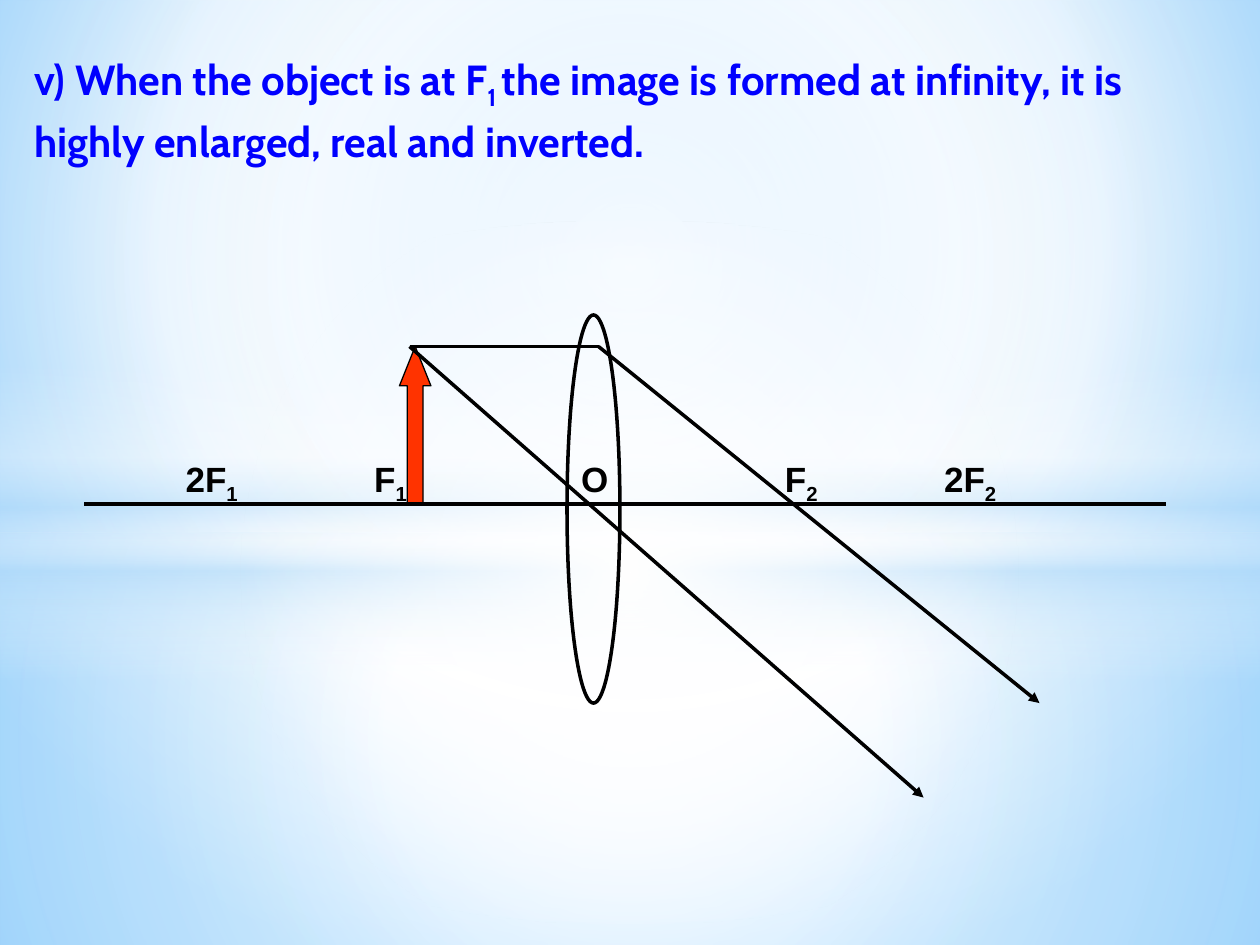
from lxml.etree import SubElement
from pptx import Presentation
from pptx.dml.color import RGBColor
from pptx.enum.shapes import MSO_CONNECTOR, MSO_SHAPE
from pptx.enum.text import MSO_ANCHOR, MSO_AUTO_SIZE, PP_ALIGN
from pptx.oxml.ns import qn
from pptx.util import Inches, Pt

COLORS = {
    "text": "0000FF", "ink": "000000", "object": "FF3300", "white": "FFFFFF",
    "sky": "9ED5FF", "deep sky": "5BB9FF", "haze": "B4DCFA",
}


def set_gradient(parent, stops, focus=None):
    """Replace the solid fill in parent; stops are (position, colour, opacity) in percent.

    focus gives the left, top, right, bottom of a circular gradient;
    without it the gradient runs from top to bottom.
    """
    solid = parent.find(qn("a:solidFill"))
    gradient = SubElement(parent, qn("a:gradFill"), rotWithShape="1")
    parent.replace(solid, gradient)
    stop_list = SubElement(gradient, qn("a:gsLst"))
    for position, color, opacity in stops:
        stop = SubElement(stop_list, qn("a:gs"), pos=str(position * 1000))
        tint = SubElement(stop, qn("a:srgbClr"), val=COLORS[color])
        if opacity < 100:
            SubElement(tint, qn("a:alpha"), val=str(opacity * 1000))
    if focus:
        circle = SubElement(gradient, qn("a:path"), path="circle")
        sides = {side: str(value * 1000) for side, value in zip("ltrb", focus)}
        SubElement(circle, qn("a:fillToRect"), **sides)
    else:
        SubElement(gradient, qn("a:lin"), ang="5400000", scaled="0")


def add_text(para, text, size=20, font="Arial", color="ink", subscript=False):
    span = para.add_run()
    span.text = text
    span.font.size = Pt(size)
    span.font.name = font
    span.font.bold = True
    span.font.color.rgb = RGBColor.from_string(COLORS[color])
    if subscript:
        span._r.get_or_add_rPr().set("baseline", "-25000")


deck = Presentation()
deck.slide_width, deck.slide_height = Inches(10), Inches(7.5)
page = deck.slides.add_slide(deck.slide_layouts[0])
shapes = page.shapes
shapes.element.remove(shapes.title.element)

# Background with its layers of light
page.background.fill.solid()
set_gradient(page.element.cSld.bg.bgPr,
             [(0, "sky", 100), (60, "white", 100), (100, "deep sky", 100)],
             focus=(20, 10, 20, 60))
center = (50, 50, 50, 50)
layers = [
    (MSO_SHAPE.RECTANGLE, 4.23, 3.27, center,
     [(0, "white", 91), (37, "white", 76), (100, "haze", 79)]),
    (MSO_SHAPE.RECTANGLE, 0, 4.23, center,
     [(0, "white", 89), (48, "white", 62), (100, "haze", 79)]),
    (MSO_SHAPE.RECTANGLE, 2.9, 2.5, None,
     [(0, "white", 0), (29, "white", 30), (45, "haze", 40),
      (55, "white", 26), (65, "haze", 60), (100, "white", 0)]),
    (MSO_SHAPE.OVAL, 1.75, 5.58, center, [(0, "white", 100), (54, "white", 0)]),
]
for kind, top, height, focus, stops in layers:
    layer = shapes.add_shape(kind, 0, Inches(top), deck.slide_width, Inches(height))
    layer.shadow.inherit = False
    layer.line.fill.background()
    layer.fill.solid()
    set_gradient(layer.element.spPr, stops, focus)

# Statement, in front of the layers
statement = page.placeholders[1]
shapes.element.append(statement.element)
statement.left, statement.top = Inches(0.17), Inches(0.33)
statement.width, statement.height = Inches(9.67), Inches(6.83)
frame = statement.text_frame
frame.auto_size = MSO_AUTO_SIZE.NONE
frame.vertical_anchor = MSO_ANCHOR.TOP
para = frame.paragraphs[0]
para.alignment = PP_ALIGN.LEFT
para.line_spacing = 1.1
para.space_before, para.space_after = Pt(0), Pt(3)
for text, subscript in [
    ("v) When the object is at F", False),
    ("1 ", True),
    ("the image is formed at infinity, it is highly enlarged, real and inverted.", False),
]:
    add_text(para, text, size=24, font="Cabin", color="text", subscript=subscript)

# Lens
lens = shapes.add_shape(MSO_SHAPE.OVAL, Inches(4.5), Inches(2.5), Inches(0.42), Inches(3.08))
lens.shadow.inherit = False
lens.fill.background()
lens.line.color.rgb = RGBColor.from_string(COLORS["ink"])
lens.line.width = Pt(2)

# Points on the axis: centre, letters, index
for middle, letters, index in [
    (1.68, "2F", "1"), (3.1, "F", "1"), (4.72, "O", ""), (6.36, "F", "2"), (7.7, "2F", "2"),
]:
    box = shapes.add_textbox(Inches(middle - 0.4), Inches(3.58), Inches(0.8), Inches(0.43))
    box.text_frame.word_wrap = True
    box.text_frame.margin_left = box.text_frame.margin_right = 0
    para = box.text_frame.paragraphs[0]
    para.alignment = PP_ALIGN.CENTER
    add_text(para, letters)
    if index:
        add_text(para, index, subscript=True)

# Object
arrow = shapes.add_shape(MSO_SHAPE.UP_ARROW, Inches(3.17), Inches(2.75), Inches(0.25), Inches(1.25))
arrow.adjustments[0], arrow.adjustments[1] = 0.5, 1.25
arrow.shadow.inherit = False
arrow.fill.solid()
arrow.fill.fore_color.rgb = RGBColor.from_string(COLORS["object"])
arrow.line.color.rgb = RGBColor.from_string(COLORS["ink"])
arrow.line.width = Pt(0.75)

# Principal axis and rays: start, end, arrowhead
tip, bend = (3.25, 2.75), (4.75, 2.75)
for start, end, has_head in [
    ((0.67, 4), (9.25, 4), False),
    (bend, (8.25, 5.58), True),
    (tip, bend, False),
    (tip, (7.33, 6.33), True),
]:
    ray = shapes.add_connector(MSO_CONNECTOR.STRAIGHT, *map(Inches, start + end))
    ray.line.color.rgb = RGBColor.from_string(COLORS["ink"])
    ray.line.width = Pt(2)
    if has_head:
        SubElement(ray.line._get_or_add_ln(), qn("a:tailEnd"), type="triangle")
    SubElement(ray.element.spPr, qn("a:effectLst"))

deck.save("out.pptx")
